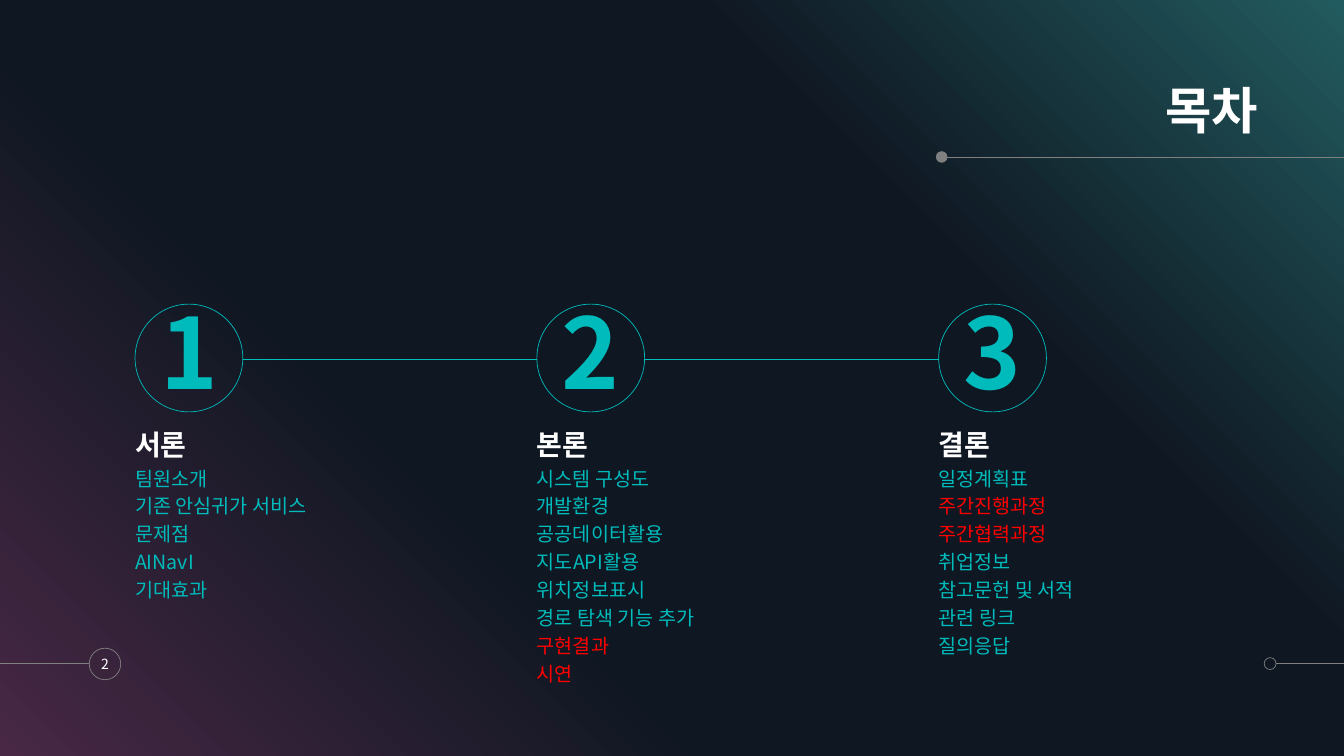
from copy import deepcopy
from dataclasses import dataclass

from lxml.etree import SubElement
from pptx import Presentation
from pptx.dml.color import RGBColor
from pptx.enum.shapes import MSO_CONNECTOR, MSO_SHAPE
from pptx.enum.text import MSO_ANCHOR, PP_ALIGN
from pptx.oxml.ns import qn
from pptx.util import Pt


@dataclass(frozen=True)
class Theme:
    font: str = "Noto Sans CJK KR"
    teal: str = "00BBBB"
    red: str = "FF0000"
    white: str = "FFFFFF"
    gray: str = "808080"
    backdrop: tuple = ((0, "482845"), (0.34, "0F1722"), (0.69, "0F1722"), (1, "225B5F"))
    title_size: int = 36
    number_size: int = 70
    heading_size: int = 20
    item_size: int = 14
    page_size: int = 10
    line_width: float = 0.5


THEME = Theme()
WIDTH, HEIGHT = 960, 540
FIRST_LEFT, COLUMN_PITCH, COLUMN_WIDTH = 96.5, 287, 232
CIRCLE_TOP, CIRCLE_SIZE = 217.25, 77

SECTIONS = [
    ("서론", ["팀원소개", "기존 안심귀가 서비스", "문제점", "AINavI", "기대효과"], ()),
    ("본론", ["시스템 구성도", "개발환경", "공공데이터활용", "지도API활용", "위치정보표시",
            "경로 탐색 기능 추가", "구현결과", "시연"], ("구현결과", "시연")),
    ("결론", ["일정계획표", "주간진행과정", "주간협력과정", "취업정보", "참고문헌 및 서적",
            "관련 링크", "질의응답"], ("주간진행과정", "주간협력과정")),
]


def rgb(color):
    return RGBColor.from_string(color)


def add_backdrop(slide):
    backdrop = slide.shapes.add_shape(MSO_SHAPE.RECTANGLE, 0, 0, Pt(WIDTH), Pt(HEIGHT))
    backdrop.shadow.inherit = False
    backdrop.line.fill.background()
    backdrop.fill.gradient()
    backdrop.fill.gradient_angle = 45
    stops = backdrop.element.spPr.find(qn("a:gradFill")).find(qn("a:gsLst"))
    for _ in range(len(THEME.backdrop) - len(stops)):
        stops.append(deepcopy(stops[0]))
    for stop, (position, color) in zip(backdrop.fill.gradient_stops, THEME.backdrop):
        stop.position = position
        stop.color.rgb = rgb(color)


def add_line(slide, start, end, y, color):
    line = slide.shapes.add_connector(MSO_CONNECTOR.STRAIGHT, Pt(start), Pt(y), Pt(end), Pt(y))
    line.line.color.rgb = rgb(color)
    line.line.width = Pt(THEME.line_width)
    SubElement(line.element.spPr, qn("a:effectLst"))


def add_circle(slide, left, top, size, color, filled=False):
    circle = slide.shapes.add_shape(MSO_SHAPE.OVAL, Pt(left), Pt(top), Pt(size), Pt(size))
    circle.shadow.inherit = False
    if filled:
        circle.fill.solid()
        circle.fill.fore_color.rgb = rgb(color)
        circle.line.fill.background()
    else:
        circle.fill.background()
        circle.line.color.rgb = rgb(color)
        circle.line.width = Pt(THEME.line_width)
    return circle


def write(shape, lines, size, color, bold=False, align=PP_ALIGN.LEFT,
          anchor=MSO_ANCHOR.TOP, spacing=0.9, accented=()):
    frame = shape.text_frame
    frame.word_wrap = True
    frame.margin_left = frame.margin_right = frame.margin_top = frame.margin_bottom = 0
    frame.vertical_anchor = anchor
    frame.text = "\n".join(lines)
    for index, paragraph in enumerate(frame.paragraphs):
        paragraph.alignment = align
        paragraph.line_spacing = spacing
        if index:
            paragraph.space_before = Pt(6)
        for run in paragraph.runs:
            run.font.size = Pt(size)
            run.font.bold = bold
            run.font.name = THEME.font
            run.font.color.rgb = rgb(THEME.red if run.text in accented else color)
            east_asian = SubElement(run.font._element, qn("a:ea"))
            east_asian.set("typeface", THEME.font)


def add_text(slide, left, top, width, height, lines, size, color, **style):
    box = slide.shapes.add_textbox(Pt(left), Pt(top), Pt(width), Pt(height))
    write(box, lines, size, color, **style)


def add_section(slide, index, heading, items, accented):
    left = FIRST_LEFT + index * COLUMN_PITCH
    number = add_circle(slide, left, CIRCLE_TOP, CIRCLE_SIZE, THEME.teal)
    write(number, [str(index + 1)], THEME.number_size, THEME.teal, bold=True,
          align=PP_ALIGN.CENTER, anchor=MSO_ANCHOR.MIDDLE)
    if index:
        add_line(slide, left - COLUMN_PITCH + CIRCLE_SIZE, left, 256.5, THEME.teal)
    add_text(slide, left, 304, COLUMN_WIDTH, 26, [heading], THEME.heading_size, THEME.white,
             bold=True, anchor=MSO_ANCHOR.BOTTOM)
    add_text(slide, left, 336, COLUMN_WIDTH, 190, items, THEME.item_size, THEME.teal,
             spacing=0.83, accented=accented)


def add_title(slide):
    add_line(slide, 670.5, WIDTH, 112.25, THEME.gray)
    add_circle(slide, 668.5, 108, 8.25, THEME.gray, filled=True)
    add_text(slide, 402, 55.5, 496.5, 44.5, ["목차"], THEME.title_size, THEME.white,
             bold=True, align=PP_ALIGN.RIGHT, anchor=MSO_ANCHOR.BOTTOM)


def add_footer(slide):
    add_line(slide, 911.5, WIDTH, 474, THEME.gray)
    add_circle(slide, 903, 469.75, 8.5, THEME.gray)
    add_line(slide, 0, 63.5, 474, THEME.gray)
    page = add_circle(slide, 63.75, 463, 22.5, THEME.gray)
    write(page, ["2"], THEME.page_size, THEME.white, align=PP_ALIGN.CENTER,
          anchor=MSO_ANCHOR.MIDDLE, spacing=1.0)


def main():
    deck = Presentation()
    deck.slide_width, deck.slide_height = Pt(WIDTH), Pt(HEIGHT)
    slide = deck.slides.add_slide(deck.slide_layouts[6])
    add_backdrop(slide)
    add_title(slide)
    add_footer(slide)
    for index, section in enumerate(SECTIONS):
        add_section(slide, index, *section)
    deck.save("out.pptx")


if __name__ == "__main__":
    main()
